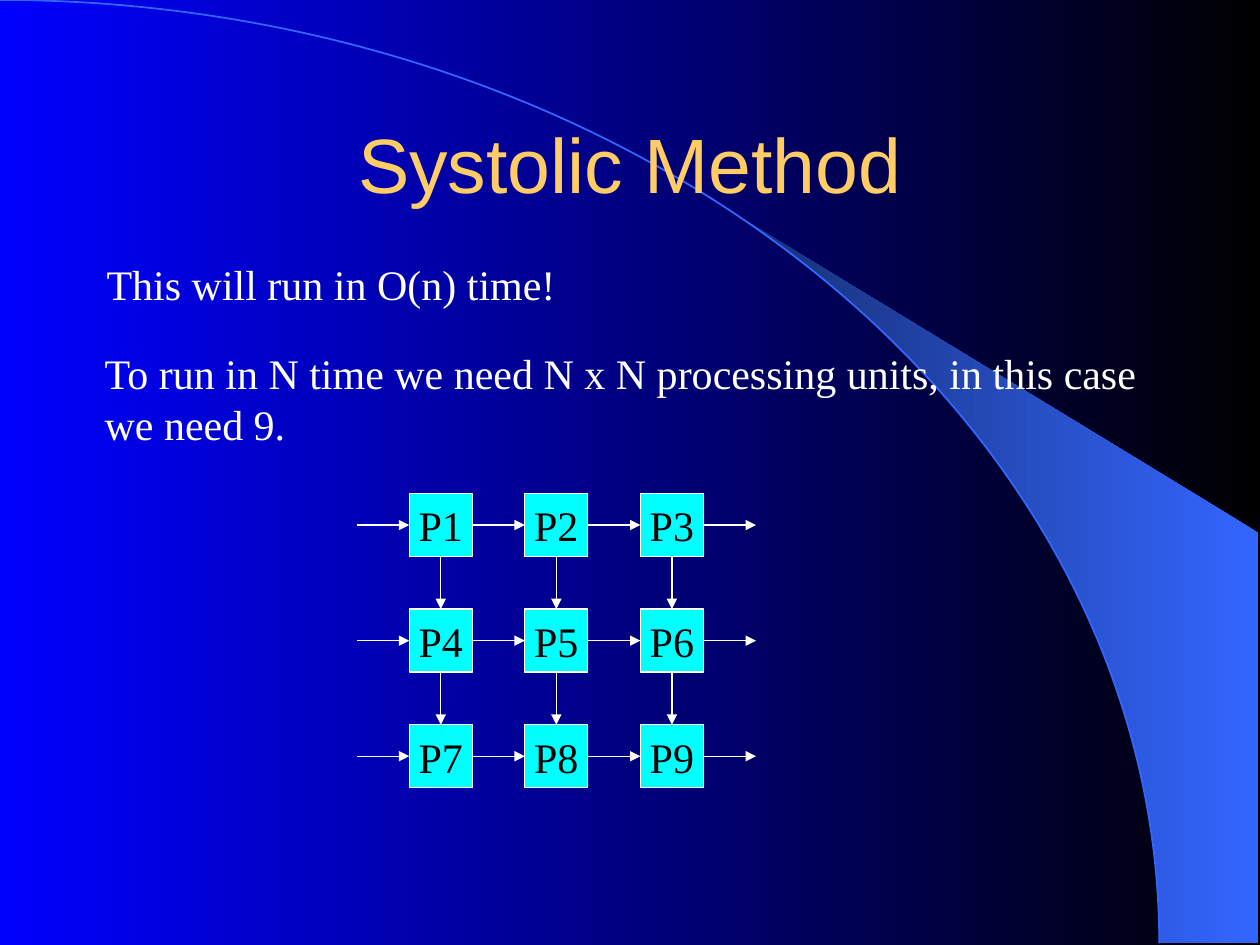
from math import asin, cos, pi, sin

from lxml.etree import SubElement
from pptx import Presentation
from pptx.dml.color import RGBColor
from pptx.enum.shapes import MSO_CONNECTOR, MSO_SHAPE
from pptx.enum.text import MSO_ANCHOR, MSO_AUTO_SIZE, PP_ALIGN
from pptx.oxml.ns import qn
from pptx.util import Cm, Pt

TITLE = "Systolic Method"
NOTES = [
    (1.9, 5.08, 9.6, 1.27, ["This will run in O(n) time!"]),
    (1.86, 6.89, 21.4, 2.29, [
        "To run in N time we need N x N processing units, in this case",
        "we need 9.",
    ]),
]
PROCESSORS = [["P1", "P2", "P3"], ["P4", "P5", "P6"], ["P7", "P8", "P9"]]

PAGE_WIDTH, PAGE_HEIGHT = 25.4, 19.05
ARC_WIDTH, ARC_HEIGHT = 23.37, 19.02
WEDGE_LEFT, WEDGE_RIGHT, WEDGE_SHOULDER = 14.96, 25.37, 10.74
GRID_LEFT, GRID_TOP = 8.25, 9.95
SIDE, GAP = 1.27, 1.06
PITCH = SIDE + GAP


def color(code):
    return RGBColor.from_string(code)


def fill_gradient(fill, start, end):
    fill.gradient()
    fill.gradient_angle = 180
    for stop, code, position in zip(fill.gradient_stops, (start, end), (0, 1)):
        stop.color.rgb = color(code)
        stop.position = position


def write(shape, lines, size, font, code, align=PP_ALIGN.LEFT, anchor=MSO_ANCHOR.TOP, wrap=False):
    frame = shape.text_frame
    frame.text = "\n".join(lines)
    frame.word_wrap = wrap
    frame.vertical_anchor = anchor
    for para in frame.paragraphs:
        para.alignment = align
        for span in para.runs:
            span.font.size = Pt(size)
            span.font.name = font
            span.font.color.rgb = color(code)


def add_backdrop(page):
    fill_gradient(page.background.fill, "000000", "0000FF")

    start, steps = asin(WEDGE_LEFT / ARC_WIDTH), 40
    angles = [start + (pi / 2 - start) * step / steps for step in range(steps + 1)]
    curve = [(ARC_WIDTH * sin(angle), ARC_HEIGHT * (1 - cos(angle))) for angle in angles]
    corners = [(WEDGE_RIGHT, ARC_HEIGHT), (WEDGE_RIGHT, WEDGE_SHOULDER)]
    points = [(Cm(x), Cm(y)) for x, y in curve + corners]
    builder = page.shapes.build_freeform(*points[0])
    builder.add_line_segments(points[1:], close=True)
    wedge = builder.convert_to_shape()
    wedge.shadow.inherit = False
    fill_gradient(wedge.fill, "3366FF", "172F75")
    wedge.line.fill.background()

    arc = page.shapes.add_shape(
        MSO_SHAPE.ARC, Cm(-ARC_WIDTH), 0, Cm(2 * ARC_WIDTH), Cm(2 * ARC_HEIGHT))
    arc.shadow.inherit = False
    arc.fill.background()
    arc.line.color.rgb = color("3366FF")
    arc.line.width = Pt(1)


def add_processor(page, left, top, name):
    box = page.shapes.add_shape(MSO_SHAPE.RECTANGLE, Cm(left), Cm(top), Cm(SIDE), Cm(SIDE))
    box.shadow.inherit = False
    box.fill.solid()
    box.fill.fore_color.rgb = color("00FFFF")
    box.line.color.rgb = color("FFFFFF")
    box.line.width = Pt(0.75)
    write(box, [name], 24, "Times New Roman", "000000", PP_ALIGN.CENTER, MSO_ANCHOR.MIDDLE)


def add_arrow(page, x, y, across, down):
    arrow = page.shapes.add_connector(
        MSO_CONNECTOR.STRAIGHT, Cm(x), Cm(y), Cm(x + across), Cm(y + down))
    arrow.line.color.rgb = color("FFFFFF")
    arrow.line.width = Pt(0.75)
    properties = arrow.element.spPr
    SubElement(properties.find(qn("a:ln")), qn("a:tailEnd"), type="triangle")
    SubElement(properties, qn("a:effectLst"))


def add_grid(page):
    for row, names in enumerate(PROCESSORS):
        top = GRID_TOP + row * PITCH
        for column, name in enumerate(names):
            left = GRID_LEFT + column * PITCH
            add_processor(page, left, top, name)
            add_arrow(page, left - GAP, top + SIDE / 2, GAP, 0)
            if row < len(PROCESSORS) - 1:
                add_arrow(page, left + SIDE / 2, top + SIDE, 0, GAP)
        add_arrow(page, GRID_LEFT + len(names) * PITCH - GAP, top + SIDE / 2, GAP, 0)


def main():
    deck = Presentation()
    deck.slide_width, deck.slide_height = Cm(PAGE_WIDTH), Cm(PAGE_HEIGHT)
    page = deck.slides.add_slide(deck.slide_layouts[5])
    add_backdrop(page)

    title = page.shapes.title
    title.left, title.top, title.width, title.height = Cm(1.9), Cm(1.69), Cm(21.6), Cm(3.18)
    write(title, [TITLE], 44, "Arial", "FFCC66", PP_ALIGN.CENTER, MSO_ANCHOR.MIDDLE, True)
    title.element.getparent().append(title.element)

    for left, top, width, height, lines in NOTES:
        note = page.shapes.add_textbox(Cm(left), Cm(top), Cm(width), Cm(height))
        write(note, lines, 24, "Times New Roman", "FFFFFF")
        note.text_frame.auto_size = MSO_AUTO_SIZE.SHAPE_TO_FIT_TEXT

    add_grid(page)
    deck.save("out.pptx")


if __name__ == "__main__":
    main()
